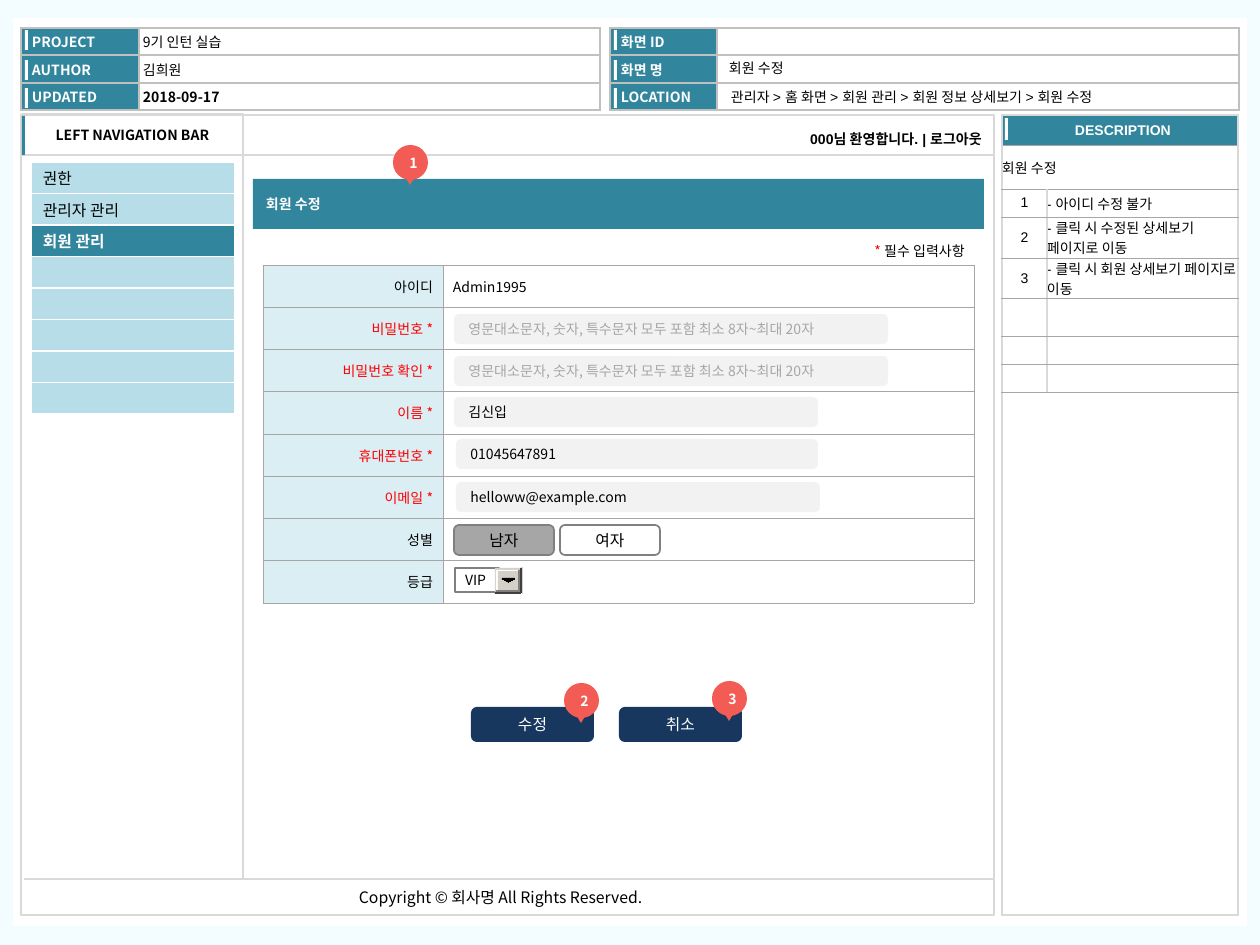
import dataclasses

import pptx
import pptx.dml.color
import pptx.enum.shapes
import pptx.enum.text
import pptx.oxml
import pptx.oxml.ns
import pptx.util
from lxml import etree

SHAPE = pptx.enum.shapes.MSO_SHAPE
ALIGN = pptx.enum.text.PP_ALIGN
EMU_PER_PIXEL = 914400 / 126


@dataclasses.dataclass(frozen=True)
class Theme:
    page: str = "F3FCFF"
    white: str = "FFFFFF"
    black: str = "000000"
    teal: str = "31859C"
    teal_light: str = "B7DEE8"
    teal_pale: str = "DBEEF4"
    navy: str = "17375E"
    pin: str = "F25C54"
    required: str = "FF0000"
    field: str = "F2F2F2"
    rule: str = "D9D9D9"
    header_rule: str = "C0C0C0"
    grid: str = "A6A6A6"
    outline: str = "808080"
    button_face: str = "D4D0C8"
    button_dark: str = "404040"
    font: str = "Noto Sans CJK KR"
    plain_font: str = "Arial"
    small: int = 8
    medium: int = 9


THEME = Theme()


def px(value):
    return pptx.util.Emu(round(value * EMU_PER_PIXEL))


def rgb(value):
    return pptx.dml.color.RGBColor.from_string(value)


def put_text(frame, text, size=THEME.small, color=THEME.black, bold=False,
             font=THEME.font, align=ALIGN.LEFT):
    """Write one paragraph; text is a string or a list of (text, color) runs."""
    paragraph = frame.paragraphs[0]
    paragraph.alignment = align
    for words, run_color in [(text, color)] if isinstance(text, str) else text:
        run = paragraph.add_run()
        run.text = words
        run.font.size = pptx.util.Pt(size)
        run.font.bold = bold
        run.font.name = font
        run.font.color.rgb = rgb(run_color)
        east_asian = etree.SubElement(run.font._element, pptx.oxml.ns.qn("a:ea"))
        east_asian.set("typeface", THEME.font)


def set_frame(frame, insets=(13, 6, 13, 6), wrap=True):
    frame.word_wrap = wrap
    frame.auto_size = pptx.enum.text.MSO_AUTO_SIZE.NONE
    frame.vertical_anchor = pptx.enum.text.MSO_ANCHOR.MIDDLE
    (frame.margin_left, frame.margin_top,
     frame.margin_right, frame.margin_bottom) = map(px, insets)


def add_box(shapes, box, fill=None, line=None, width=0.75, kind=SHAPE.RECTANGLE,
            text=None, insets=(13, 0, 13, 0), **text_format):
    shape = shapes.add_shape(kind, *map(px, box))
    shape.shadow.inherit = False
    if fill:
        shape.fill.solid()
        shape.fill.fore_color.rgb = rgb(fill)
    else:
        shape.fill.background()
    if line:
        shape.line.color.rgb = rgb(line)
        shape.line.width = pptx.util.Pt(width)
    else:
        shape.line.fill.background()
    if text:
        set_frame(shape.text_frame, insets)
        put_text(shape.text_frame, text, **text_format)
    return shape


def add_label(shapes, box, text, insets=(10, 5, 10, 5), wrap=True, **text_format):
    label = shapes.add_textbox(*map(px, box))
    set_frame(label.text_frame, insets, wrap)
    put_text(label.text_frame, text, **text_format)


def add_rule(shapes, start, end, width=1):
    rule = shapes.add_connector(pptx.enum.shapes.MSO_CONNECTOR.STRAIGHT,
                                *map(px, start + end))
    rule.line.color.rgb = rgb(THEME.rule)
    rule.line.width = pptx.util.Pt(width)
    etree.SubElement(rule._element.spPr, pptx.oxml.ns.qn("a:effectLst"))


def set_borders(cell, horizontal, vertical):
    properties = cell._tc.get_or_add_tcPr()
    sides = (("lnL", vertical), ("lnR", vertical), ("lnT", horizontal), ("lnB", horizontal))
    for index, (side, (color, width)) in enumerate(sides):
        properties.insert(index, pptx.oxml.parse_xml(
            f'<a:{side} {pptx.oxml.ns.nsdecls("a")} w="{round(width * 12700)}">'
            f'<a:solidFill><a:srgbClr val="{color}"/></a:solidFill></a:{side}>'))


def add_table(shapes, box, columns, rows, cells, horizontal, vertical=None):
    """Build a table; each cell is a dict of text, fill, insets and text format."""
    table = shapes.add_table(len(rows), len(columns), *map(px, box)).table
    table.first_row = table.horz_banding = False
    for column, width in zip(table.columns, columns):
        column.width = px(width)
    for row, height in zip(table.rows, rows):
        row.height = px(height)
    for row, contents in zip(table.rows, cells):
        for cell, content in zip(row.cells, contents):
            content = dict(content)
            fill = content.pop("fill", THEME.white)
            insets = content.pop("insets", (0, 0, 0, 0))
            cell.fill.solid()
            cell.fill.fore_color.rgb = rgb(fill)
            cell.vertical_anchor = pptx.enum.text.MSO_ANCHOR.MIDDLE
            (cell.margin_left, cell.margin_top,
             cell.margin_right, cell.margin_bottom) = map(px, insets)
            set_borders(cell, horizontal, vertical or horizontal)
            if content.get("text"):
                put_text(cell.text_frame, **content)
            else:
                end = etree.SubElement(cell.text_frame.paragraphs[0]._p,
                                       pptx.oxml.ns.qn("a:endParaRPr"))
                end.set("sz", str(THEME.small * 100))
    return table


def add_pin(shapes, left, top, number):
    pin = shapes.add_group_shape().shapes
    add_box(pin, (left, top, 35, 35), THEME.pin, kind=SHAPE.OVAL, text=number,
            insets=(6, 0, 0, 0), color=THEME.white, bold=True, align=ALIGN.CENTER)
    tip = add_box(pin, (left + 11, top + 30, 12, 10), THEME.pin,
                  kind=SHAPE.ISOSCELES_TRIANGLE)
    tip.rotation = 180


def add_header(shapes):
    border = (THEME.header_rule, 1)
    blocks = (
        (21, (118, 461), (("PROJECT", "9기 인턴 실습"), ("AUTHOR", "김희원"),
                          ("UPDATED", "2018-09-17"))),
        (610, (107, 522), (("화면 ID", ""), ("화면 명", ""), ("LOCATION", ""))),
    )
    for left, columns, entries in blocks:
        cells = [(dict(text=name, fill=THEME.teal, color=THEME.white, bold=True,
                       insets=(11, 0, 4, 0)),
                  dict(text=value, bold=name == "UPDATED", insets=(4, 0, 4, 0)))
                 for name, value in entries]
        add_table(shapes, (left, 28, sum(columns), 82), columns, (27, 28, 27), cells, border)
        for top in (30, 60, 88):
            add_box(shapes, (left + 4, top, 3, 20), THEME.white)
    add_label(shapes, (721, 83, 435, 27),
              "관리자 > 홈 화면 > 회원 관리 > 회원 정보 상세보기 > 회원 수정", font=THEME.plain_font)
    add_label(shapes, (719, 54, 365, 27), "회원 수정", font=THEME.plain_font)


def add_description(shapes):
    style = dict(font=THEME.plain_font)
    add_table(shapes, (1002, 115, 236, 800), (236,), (31, 769),
              [[dict(text="DESCRIPTION", fill=THEME.teal, color=THEME.white, bold=True,
                     align=ALIGN.CENTER, insets=(6, 0, 0, 0), **style)], [{}]],
              (THEME.rule, 1))
    add_box(shapes, (1005, 118, 3, 22), THEME.white)
    notes = ("- 아이디 수정 불가", "- 클릭 시 수정된 상세보기 페이지로 이동",
             "- 클릭 시 회원 상세보기 페이지로 이동")
    cells = [[dict(text="회원 수정", **style), {}]]
    cells += [[dict(text=str(number), align=ALIGN.CENTER, **style), dict(text=note, **style)]
              for number, note in enumerate(notes, 1)]
    cells += [[{}, {}]] * 3
    table = add_table(shapes, (1002, 145, 236, 247), (45, 191), (44, 28, 41, 40, 38, 28, 28),
                      cells, (THEME.grid, 0.5), (THEME.rule, 1))
    table.cell(0, 0).merge(table.cell(0, 1))


def add_navigation(shapes):
    add_box(shapes, (22, 114, 221, 41), line=THEME.rule, text="LEFT NAVIGATION BAR",
            bold=True, align=ALIGN.CENTER)
    add_box(shapes, (22, 116, 3, 39), THEME.teal)
    add_rule(shapes, (243, 115), (243, 879), 0.75)
    add_rule(shapes, (243, 155), (994, 155))
    cells = []
    for name in ("권한", "관리자 관리", "회원 관리") + ("",) * 5:
        active = name == "회원 관리"
        cells.append([dict(text=name, size=THEME.medium, bold=active, insets=(12, 0, 0, 0),
                           fill=THEME.teal if active else THEME.teal_light,
                           color=THEME.white if active else THEME.black)])
    add_table(shapes, (31, 162, 204, 252), (204,), (252 / 8,) * 8, cells, (THEME.white, 1))


def add_title(slide):
    title = slide.shapes.title
    title.left, title.top, title.width, title.height = map(px, (253, 179, 731, 50))
    title.fill.solid()
    title.fill.fore_color.rgb = rgb(THEME.teal)
    set_frame(title.text_frame)
    put_text(title.text_frame, "회원 수정", color=THEME.white, bold=True)
    title.element.getparent().append(title.element)


def add_dropdown(shapes):
    add_box(shapes, (455, 568, 44, 24), THEME.white, THEME.outline, text="VIP",
            insets=(10, 0, 0, 0))
    button = shapes.add_group_shape().shapes
    face, dark, gray, white = (THEME.button_face, THEME.button_dark,
                               THEME.outline, THEME.white)
    # Bevel edges from outside to inside, then the face
    for *box, color in ((523, 566, 1, 30, white), (522, 567, 1, 27, face),
                        (520, 568, 2, 25, dark), (495, 592, 26, 2, dark),
                        (495, 568, 1, 24, face), (496, 568, 24, 2, face),
                        (518, 570, 2, 22, gray), (496, 590, 23, 2, gray),
                        (496, 570, 2, 20, white), (498, 570, 20, 1, white),
                        (498, 571, 20, 19, face)):
        add_box(button, box, color)
    # Stepped arrow
    for step in range(4):
        add_box(button, (502 + 2 * step, 578 + step, 13 - 4 * step, 2), THEME.black)


def add_form(shapes):
    add_label(shapes, (799, 236, 179, 30),
              [("* ", THEME.required), ("필수 입력사항", THEME.black)],
              insets=(13, 6, 13, 6), align=ALIGN.RIGHT)
    names = ("아이디", "비밀번호 *", "비밀번호 확인 *", "이름 *", "휴대폰번호 *",
             "이메일 *", "성별", "등급")
    cells = [[dict(text=name, fill=THEME.teal_pale, align=ALIGN.RIGHT, insets=(10, 5, 10, 5),
                   color=THEME.required if name.endswith("*") else THEME.black),
              dict(text="Admin1995" if name == "아이디" else "", insets=(10, 5, 10, 5))]
             for name in names]
    add_table(shapes, (263, 265, 711, 338), (180, 531), (338 / 8,) * 8, cells,
              (THEME.grid, 0.25))
    # Input fields
    hint = "영문대소문자, 숫자, 특수문자 모두 포함 최소 8자~최대 20자"
    for left, top, width, value in ((454, 314, 434, hint), (454, 356, 434, hint),
                                    (454, 397, 364, "김신입"), (456, 439, 362, "01045647891"),
                                    (456, 482, 364, "helloww@example.com")):
        add_box(shapes, (left, top, width, 30), THEME.field, kind=SHAPE.ROUNDED_RECTANGLE,
                text=value, color=THEME.grid if value == hint else THEME.black)
    # Gender choice
    for left, name, fill in ((454, "남자", THEME.grid), (560, "여자", THEME.white)):
        add_box(shapes, (left, 525, 100, 30), fill, THEME.outline, 1,
                SHAPE.ROUNDED_RECTANGLE, name, size=THEME.medium, align=ALIGN.CENTER)
    add_dropdown(shapes)
    # Action buttons
    for left, name in ((471, "수정"), (619, "취소")):
        add_box(shapes, (left, 707, 123, 35), THEME.navy, kind=SHAPE.ROUNDED_RECTANGLE,
                text=name, size=THEME.medium, color=THEME.white, align=ALIGN.CENTER)


def main():
    presentation = pptx.Presentation()
    presentation.slide_width, presentation.slide_height = px(1260), px(945)
    slide = presentation.slides.add_slide(presentation.slide_layouts[5])
    slide.background.fill.solid()
    slide.background.fill.fore_color.rgb = rgb(THEME.page)
    shapes = slide.shapes
    add_box(shapes, (13, 18, 1234, 908), THEME.white)
    add_header(shapes)
    # Screen frame and footer
    add_box(shapes, (21, 115, 973, 800), line=THEME.rule)
    add_rule(shapes, (24, 879), (994, 879))
    add_label(shapes, (349, 881, 318, 32), "Copyright ©\u00a0회사명 All Rights Reserved.",
              wrap=False, size=THEME.medium)
    add_description(shapes)
    add_navigation(shapes)
    add_label(shapes, (667, 125, 325, 28), "000님 환영합니다. | 로그아웃", bold=True,
              font=THEME.plain_font, align=ALIGN.RIGHT)
    add_title(slide)
    add_form(shapes)
    for left, top, number in ((393, 145, "1"), (564, 683, "2"), (712, 681, "3")):
        add_pin(shapes, left, top, number)
    presentation.save("out.pptx")


main()
